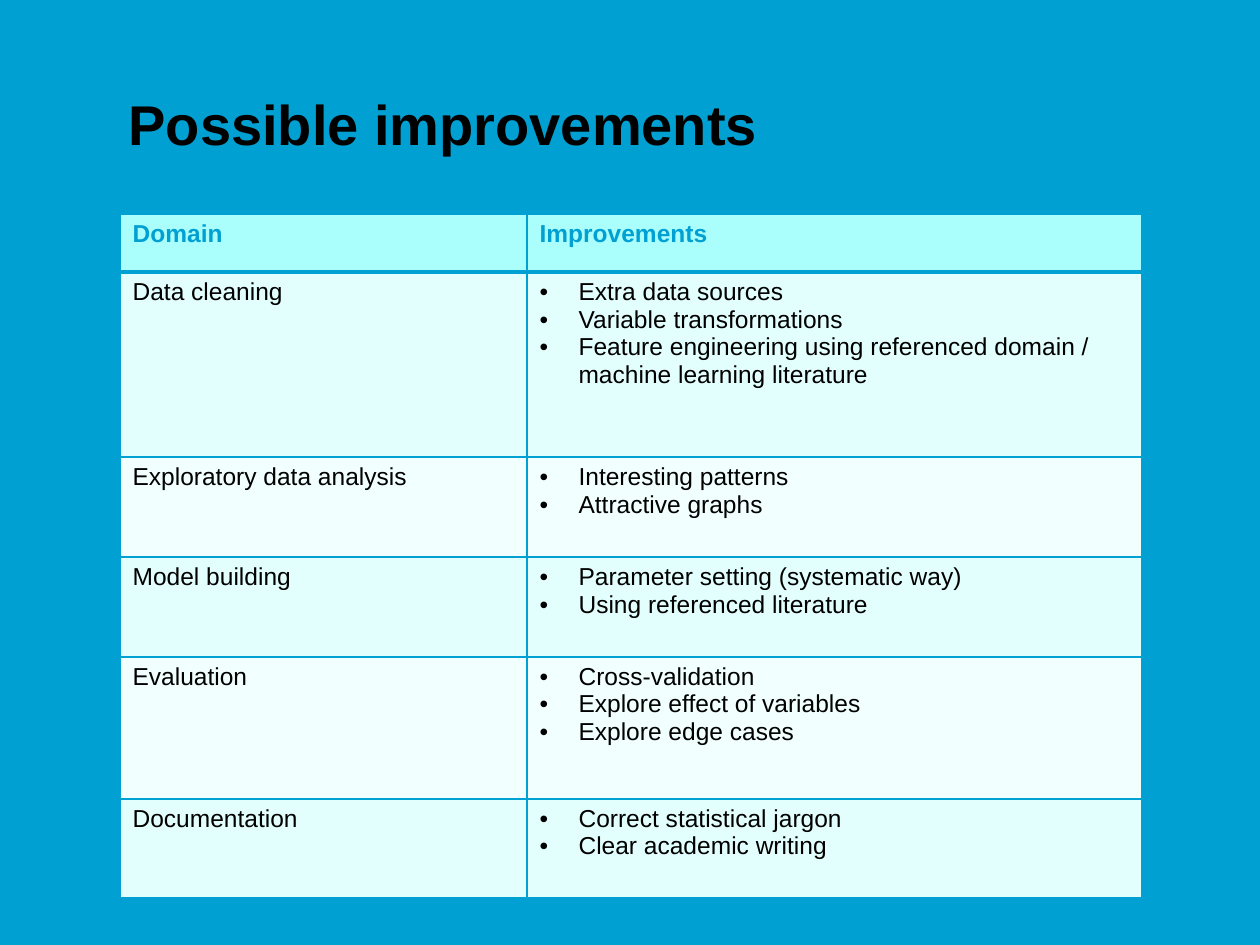
from dataclasses import dataclass

from lxml import etree
from pptx import Presentation
from pptx.dml.color import RGBColor
from pptx.enum.text import MSO_ANCHOR, MSO_AUTO_SIZE, PP_ALIGN
from pptx.oxml.ns import qn
from pptx.util import Pt

LEFT, BOTTOM, NO_FIT = PP_ALIGN.LEFT, MSO_ANCHOR.BOTTOM, MSO_AUTO_SIZE.NONE
TITLE_ONLY = 5
EMU_PER_PIXEL = 914400 / 126
EMU_PER_POINT = 12700


@dataclass(frozen=True)
class Theme:
    font: str = "Arial"
    title_size: int = 32
    table_size: int = 14
    blue: str = "00A0D2"
    text: str = "000000"
    header: str = "AAFFFD"
    bands: tuple = ("E2FFFE", "F1FFFF")
    border: int = 1
    header_border: int = 3
    bullet_indent: int = 39


def px(length):
    return round(length * EMU_PER_PIXEL)


def set_all(target, values):
    for name, value in values.items():
        setattr(target, name, value)


class SlideBuilder:
    def __init__(self, presentation, theme):
        self.theme = theme
        self.slide = presentation.slides.add_slide(presentation.slide_layouts[TITLE_ONLY])
        self.fill(self.slide.background, theme.blue)

    def fill(self, target, color):
        target.fill.solid()
        target.fill.fore_color.rgb = RGBColor.from_string(color)

    def add_text(self, paragraph, text, size, color, bold=False):
        paragraph.alignment = LEFT
        run = paragraph.add_run()
        run.text = text
        set_all(run.font, {"name": self.theme.font, "size": Pt(size), "bold": bold})
        run.font.color.rgb = RGBColor.from_string(color)

    def title(self, text, left, top, width, height):
        title = self.slide.shapes.title
        set_all(title, {"left": px(left), "top": px(top),
                        "width": px(width), "height": px(height)})
        set_all(title.text_frame, {"vertical_anchor": BOTTOM, "word_wrap": True,
                                   "auto_size": NO_FIT})
        self.add_text(title.text_frame.paragraphs[0], text,
                      self.theme.title_size, self.theme.text, True)

    def bullet(self, paragraph):
        properties = paragraph._p.get_or_add_pPr()
        indent = px(self.theme.bullet_indent)
        properties.set("marL", str(indent))
        properties.set("indent", str(-indent))
        etree.SubElement(properties, qn("a:buFont"), typeface=self.theme.font)
        etree.SubElement(properties, qn("a:buChar"), char="•")

    def borders(self, cell, top, bottom):
        properties = cell._tc.get_or_add_tcPr()
        side = self.theme.border
        for name, width in (("lnL", side), ("lnR", side), ("lnT", top), ("lnB", bottom)):
            line = etree.SubElement(properties, qn(f"a:{name}"), w=str(width * EMU_PER_POINT))
            solid = etree.SubElement(line, qn("a:solidFill"))
            etree.SubElement(solid, qn("a:srgbClr"), val=self.theme.blue)

    def cell(self, cell, lines, row, bulleted):
        theme = self.theme
        is_header = row == 0
        self.borders(cell,
                     theme.header_border if row == 1 else theme.border,
                     theme.header_border if is_header else theme.border)
        self.fill(cell, theme.header if is_header else theme.bands[(row - 1) % 2])
        frame = cell.text_frame
        for index, text in enumerate(lines):
            paragraph = frame.add_paragraph() if index else frame.paragraphs[0]
            self.add_text(paragraph, text, theme.table_size,
                          theme.blue if is_header else theme.text, is_header)
            if bulleted:
                self.bullet(paragraph)

    def table(self, rows, left, top, widths, heights):
        table = self.slide.shapes.add_table(
            len(rows), len(widths), px(left), px(top),
            px(sum(widths)), px(sum(heights))).table
        for column, width in zip(table.columns, widths):
            column.width = px(width)
        for table_row, height in zip(table.rows, heights):
            table_row.height = px(height)
        for row, (domain, improvements) in enumerate(rows):
            self.cell(table.cell(row, 0), [domain], row, False)
            self.cell(table.cell(row, 1), improvements, row, row > 0)


IMPROVEMENTS = [
    ("Domain", ["Improvements"]),
    ("Data cleaning", [
        "Extra data sources",
        "Variable transformations",
        "Feature engineering using referenced domain / machine learning literature"]),
    ("Exploratory data analysis", ["Interesting patterns", "Attractive graphs"]),
    ("Model building", ["Parameter setting (systematic way)", "Using referenced literature"]),
    ("Evaluation", ["Cross-validation", "Explore effect of variables", "Explore edge cases"]),
    ("Documentation", ["Correct statistical jargon", "Clear academic writing"]),
]

presentation = Presentation()
set_all(presentation, {"slide_width": px(1260), "slide_height": px(945)})
builder = SlideBuilder(presentation, Theme())

# Title
builder.title("Possible improvements", 116, 84, 850, 79)

# Domains and their improvements
builder.table(IMPROVEMENTS, 120, 214, widths=[407, 615],
              heights=[58, 185, 100, 100, 142, 99])

presentation.save("out.pptx")
